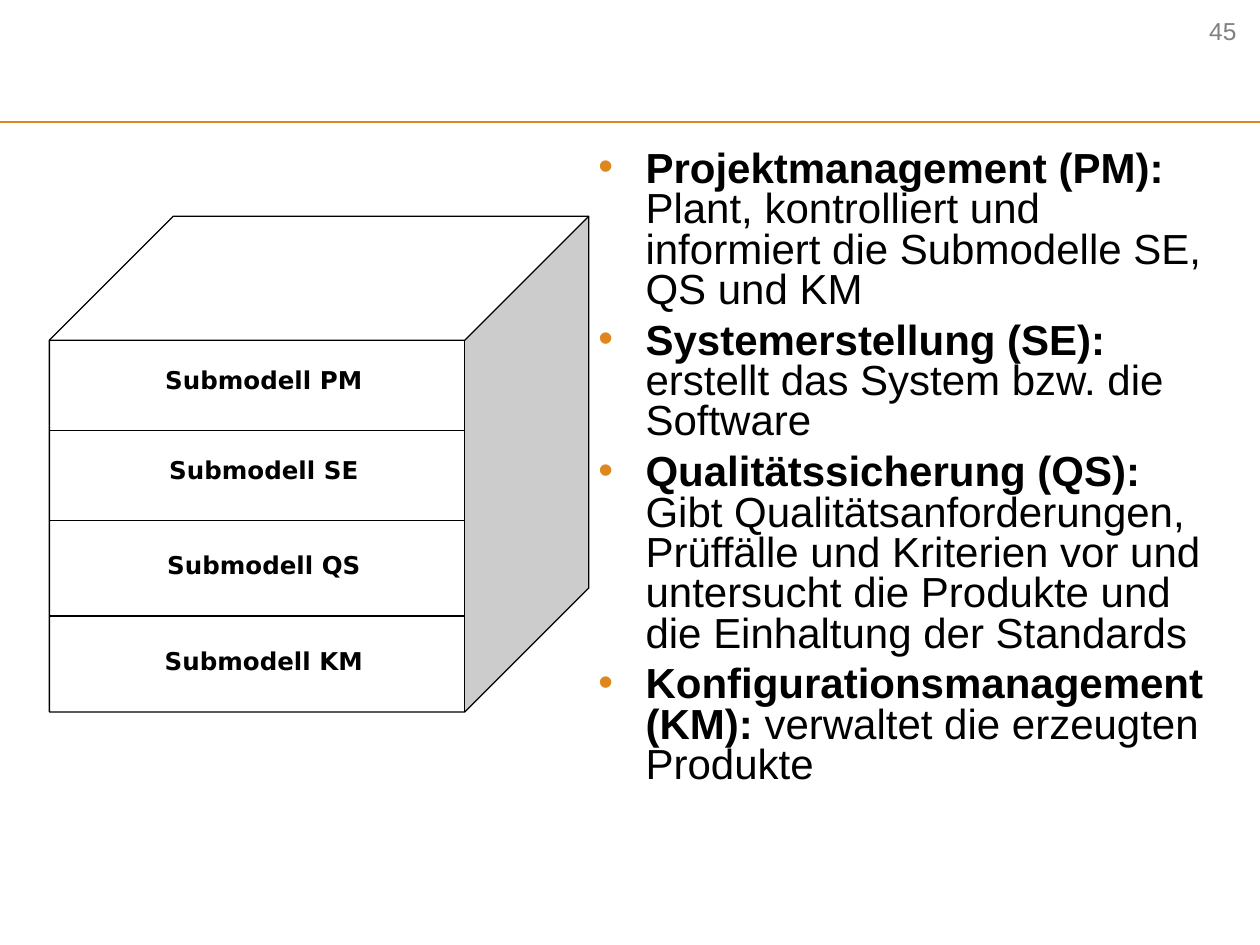
from lxml import etree
from pptx import Presentation
from pptx.dml.color import RGBColor
from pptx.enum.shapes import MSO_CONNECTOR, MSO_SHAPE
from pptx.enum.text import MSO_ANCHOR, PP_ALIGN
from pptx.oxml.ns import qn
from pptx.util import Pt

STRAIGHT = MSO_CONNECTOR.STRAIGHT
CUBE, RECTANGLE = MSO_SHAPE.CUBE, MSO_SHAPE.RECTANGLE
CENTER, RIGHT = PP_ALIGN.CENTER, PP_ALIGN.RIGHT
TOP = MSO_ANCHOR.TOP

COLORS = {"accent": "DF871D", "text": "000000", "paper": "FFFFFF", "number": "808080"}

SUBMODELS = [
    ("Projektmanagement (PM):",
     " Plant, kontrolliert und informiert die Submodelle SE, QS und KM"),
    ("Systemerstellung (SE):",
     " erstellt das System bzw. die Software"),
    ("Qualitätssicherung (QS):",
     " Gibt Qualitätsanforderungen, Prüffälle und Kriterien vor und "
     "untersucht die Produkte und die Einhaltung der Standards"),
    ("Konfigurationsmanagement (KM):",
     " verwaltet die erzeugten Produkte"),
]
# Label and lower edge of each layer on the front of the cube
LAYERS = [
    ("Submodell PM", 246),
    ("Submodell SE", 297.4),
    ("Submodell QS", 352),
    ("Submodell KM", 406.8),
]
PAGE_NUMBER = "45"

SLIDE_WIDTH, SLIDE_HEIGHT = 720, 540
CUBE_LEFT, CUBE_TOP, CUBE_WIDTH, CUBE_HEIGHT = 28.2, 123.6, 308.2, 283.2
CUBE_DEPTH = 0.25
FRONT_RIGHT = CUBE_LEFT + CUBE_WIDTH - CUBE_DEPTH * CUBE_HEIGHT
LABEL_LEFT, LABEL_WIDTH, LABEL_HEIGHT, LABEL_RISE = 64, 173.5, 27.4, 41.2
BULLET_INDENT = 27

LABEL_FONT = {"name": "DejaVu Sans", "size": Pt(14), "bold": True}
BODY_FONT = {"name": "Arial", "size": Pt(24)}
NUMBER_FONT = {"name": "Arial", "size": Pt(14)}


def color(name):
    return RGBColor.from_string(COLORS[name])


def format_font(font, values, color_name="text"):
    for attribute, value in values.items():
        setattr(font, attribute, value)
    font.color.rgb = color(color_name)


def add_line(slide, left, right, y, color_name, width):
    line = slide.shapes.add_connector(STRAIGHT, Pt(left), Pt(y), Pt(right), Pt(y))
    line.line.color.rgb = color(color_name)
    line.line.width = Pt(width)
    etree.SubElement(line._element.spPr, qn("a:effectLst"))


def add_white_shape(slide, kind, *box):
    shape = slide.shapes.add_shape(kind, *map(Pt, box))
    shape.shadow.inherit = False
    shape.fill.solid()
    shape.fill.fore_color.rgb = color("paper")
    return shape


def add_text_box(slide, *box):
    frame = slide.shapes.add_textbox(*map(Pt, box)).text_frame
    frame.word_wrap = True
    return frame


def write_line(frame, text, font_values, alignment, color_name="text"):
    paragraph = frame.paragraphs[0]
    paragraph.alignment = alignment
    run = paragraph.add_run()
    run.text = text
    format_font(run.font, font_values, color_name)


def add_bullet(paragraph):
    properties = paragraph._p.get_or_add_pPr()
    properties.set("marL", str(Pt(BULLET_INDENT)))
    properties.set("indent", str(-Pt(BULLET_INDENT)))
    bullet_color = etree.SubElement(properties, qn("a:buClr"))
    etree.SubElement(bullet_color, qn("a:srgbClr"), val=COLORS["accent"])
    etree.SubElement(properties, qn("a:buFont"), typeface="Arial")
    etree.SubElement(properties, qn("a:buChar"), char="•")


def add_layered_cube(slide):
    cube = add_white_shape(slide, CUBE, CUBE_LEFT, CUBE_TOP, CUBE_WIDTH, CUBE_HEIGHT)
    cube.adjustments[0] = CUBE_DEPTH
    cube.line.color.rgb = color("text")
    cube.line.width = Pt(0.75)
    for _, bottom in LAYERS[:-1]:
        add_line(slide, CUBE_LEFT, FRONT_RIGHT, bottom, "text", 0.75)
    for text, bottom in LAYERS:
        label = add_white_shape(slide, RECTANGLE, LABEL_LEFT, bottom - LABEL_RISE,
                                LABEL_WIDTH, LABEL_HEIGHT)
        label.line.fill.background()
        label.text_frame.vertical_anchor = TOP
        write_line(label.text_frame, text, LABEL_FONT, CENTER)


def add_descriptions(slide):
    frame = add_text_box(slide, 334.8, 82.8, 373, 396.7)
    for index, (term, description) in enumerate(SUBMODELS):
        paragraph = frame.add_paragraph() if index else frame.paragraphs[0]
        paragraph.line_spacing = 0.8
        paragraph.space_before = Pt(6 if index else 0)
        add_bullet(paragraph)
        for text, bold in ((term, True), (description, False)):
            run = paragraph.add_run()
            run.text = text
            format_font(run.font, {**BODY_FONT, "bold": bold})


def main():
    presentation = Presentation()
    presentation.slide_width = Pt(SLIDE_WIDTH)
    presentation.slide_height = Pt(SLIDE_HEIGHT)
    slide = presentation.slides.add_slide(presentation.slide_layouts[6])
    add_line(slide, 0, SLIDE_WIDTH, 69.8, "accent", 1.25)
    add_layered_cube(slide)
    add_descriptions(slide)
    number_frame = add_text_box(slide, 563.8, 5.8, 149.8, 36)
    write_line(number_frame, PAGE_NUMBER, NUMBER_FONT, RIGHT, "number")
    presentation.save("out.pptx")


if __name__ == "__main__":
    main()
